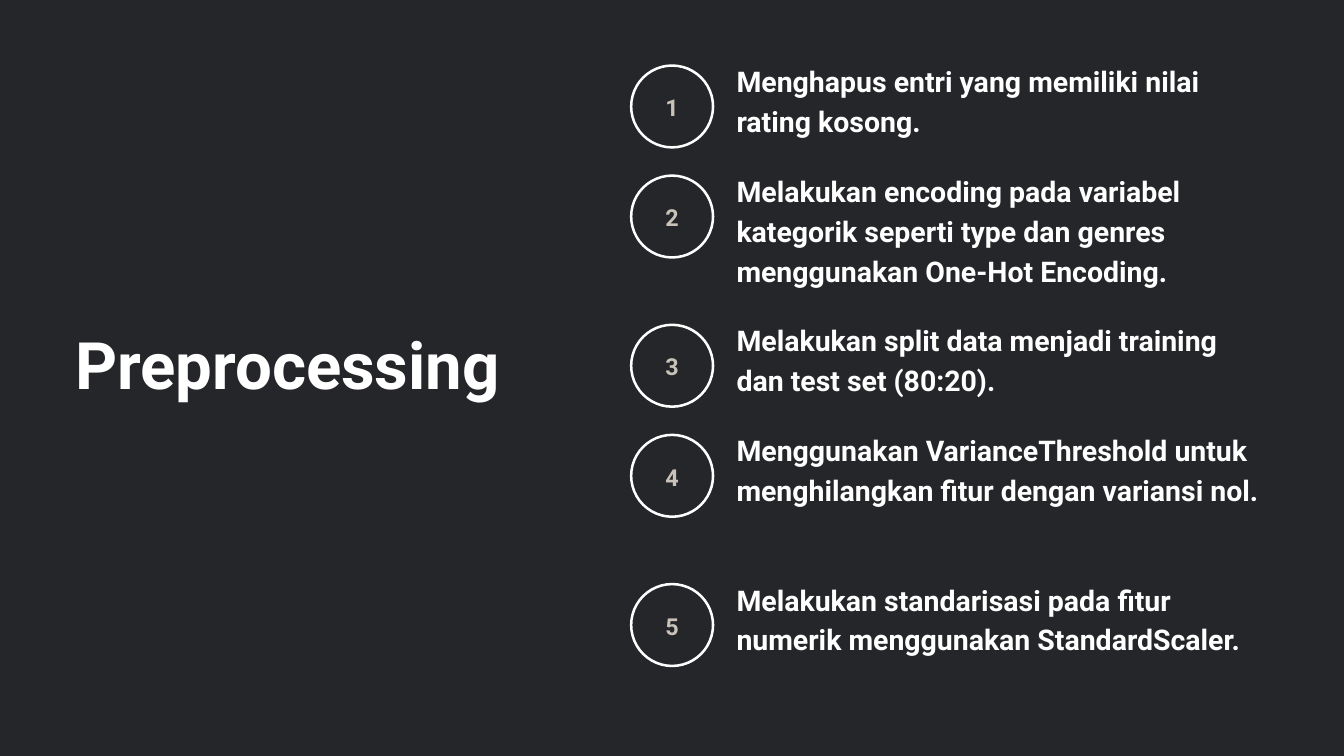
from pptx import Presentation
from pptx.dml.color import RGBColor
from pptx.enum.shapes import MSO_SHAPE
from pptx.enum.text import MSO_AUTO_SIZE, PP_ALIGN
from pptx.util import Cm, Pt

DONUT = MSO_SHAPE.DONUT
FIT_TEXT = MSO_AUTO_SIZE.SHAPE_TO_FIT_TEXT
LEFT, CENTER = PP_ALIGN.LEFT, PP_ALIGN.CENTER

FONT = "Roboto"
COLORS = {"background": "252629", "white": "FFFFFF", "number": "C8C2B8"}

# Step text and the number of lines its box holds
STEPS = [
    ("Menghapus entri yang memiliki nilai rating kosong.", 2),
    ("Melakukan encoding pada variabel kategorik seperti type dan genres "
     "menggunakan One-Hot Encoding.", 3),
    ("Melakukan split data menjadi training dan test set (80:20).", 2),
    ("Menggunakan VarianceThreshold untuk menghilangkan fitur dengan "
     "variansi nol.", 3),
    ("Melakukan standarisasi pada fitur numerik menggunakan "
     "StandardScaler.", 3),
]

# Layout in centimetres
STEP_LEFT, STEP_WIDTH = 27.84, 20.12
FIRST_TOP, LINE_HEIGHT, STEP_GAP = 2.21, 1.48, 1.2
RING_LEFT, RING_SIZE, RING_DROP = 23.81, 3.19, 0.22
NUMBER_WIDTH, NUMBER_HEIGHT, NUMBER_DROP = 1.24, 1.07, 1.32
NUMBER_LEFT = RING_LEFT + (RING_SIZE - NUMBER_WIDTH) / 2


def add_text(shapes, text, box, size, spacing, color, align=LEFT):
    frame = shapes.add_textbox(*(Cm(value) for value in box)).text_frame
    frame.margin_left = frame.margin_right = 0
    frame.margin_top = frame.margin_bottom = 0
    frame.word_wrap = True
    frame.auto_size = FIT_TEXT
    paragraph = frame.paragraphs[0]
    paragraph.alignment = align
    paragraph.line_spacing = Pt(spacing)
    run = paragraph.add_run()
    run.text = text
    run.font.name = FONT
    run.font.size = Pt(size)
    run.font.bold = True
    run.font.color.rgb = RGBColor.from_string(COLORS[color])


prs = Presentation()
prs.slide_width, prs.slide_height = Cm(50.8), Cm(28.575)
slide = prs.slides.add_slide(prs.slide_layouts[6])
background = slide.background.fill
background.solid()
background.fore_color.rgb = RGBColor.from_string(COLORS["background"])

# Title
add_text(slide.shapes, "Preprocessing", (2.84, 12.27, 17.7, 2.97), 70, 84, "white")

# Numbered steps, stacked with equal gaps
top = FIRST_TOP
for number, (step, lines) in enumerate(STEPS, start=1):
    height = lines * LINE_HEIGHT
    add_text(slide.shapes, step, (STEP_LEFT, top, STEP_WIDTH, height),
             30.5, 42.7, "white")

    # Ring with its number
    badge = slide.shapes.add_group_shape()
    ring = badge.shapes.add_shape(DONUT, Cm(RING_LEFT), Cm(top + RING_DROP),
                                  Cm(RING_SIZE), Cm(RING_SIZE))
    ring.adjustments[0] = 0.03
    ring.shadow.inherit = False
    ring.fill.solid()
    ring.fill.fore_color.rgb = RGBColor.from_string(COLORS["white"])
    ring.line.fill.background()
    add_text(badge.shapes, str(number),
             (NUMBER_LEFT, top + NUMBER_DROP, NUMBER_WIDTH, NUMBER_HEIGHT),
             25, 30, "number", CENTER)

    top += height + STEP_GAP

prs.save("out.pptx")
